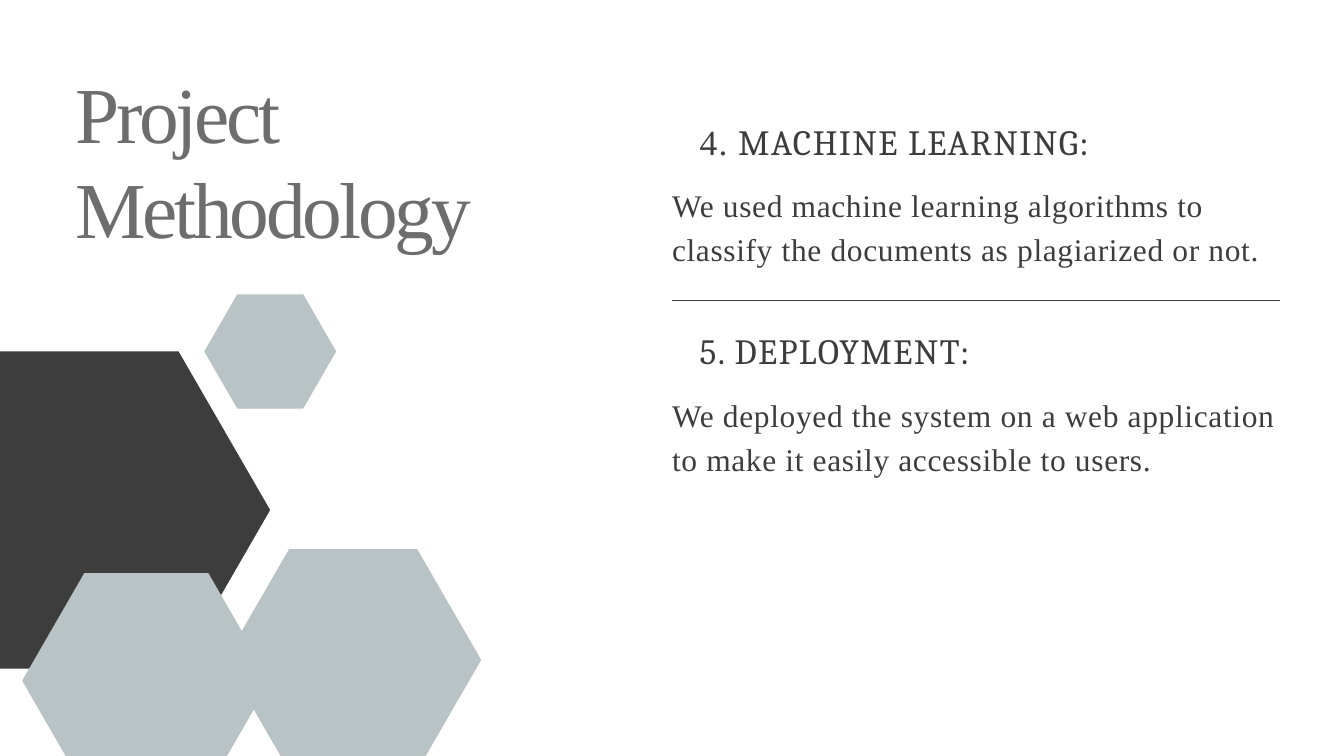
from math import sqrt

from lxml.etree import SubElement
from pptx import Presentation
from pptx.dml.color import RGBColor
from pptx.enum.shapes import MSO_CONNECTOR, MSO_SHAPE
from pptx.enum.text import MSO_ANCHOR
from pptx.oxml.ns import qn
from pptx.util import Inches, Pt

DARK, PALE, GREY = "3D3D3D", "B9C2C4", "6D6D6D"
SERIF, HEADING = "Times New Roman", "Cambria"


def color(hex_string):
    return RGBColor.from_string(hex_string)


class MethodologySlide:
    def __init__(self, deck):
        self.slide = deck.slides.add_slide(deck.slide_layouts[6])

    def text(self, left, top, width, height, runs, size, leading, spacing,
             ink=DARK, indent=0):
        """Place one paragraph made of (wording, font) runs."""
        box = self.slide.shapes.add_textbox(
            Inches(left), Inches(top), Inches(width), Inches(height))
        frame = box.text_frame
        frame.word_wrap = True
        frame.vertical_anchor = MSO_ANCHOR.TOP
        frame.margin_left = frame.margin_right = 0
        frame.margin_top = frame.margin_bottom = 0
        paragraph = frame.paragraphs[0]
        paragraph.line_spacing = Pt(leading)
        if indent:
            properties = paragraph._p.get_or_add_pPr()
            properties.set("marL", str(Inches(indent)))
            properties.set("indent", "0")
        for wording, font in runs:
            run = paragraph.add_run()
            run.text = wording
            run.font.name = font
            run.font.size = Pt(size)
            run.font.color.rgb = color(ink)
            run._r.get_or_add_rPr().set("spc", str(round(spacing * 100)))

    def heading(self, top, width, runs):
        self.text(10, top, width, 0.69, runs, 38, 45.6, 1.5, indent=0.41)

    def body(self, top, width, height, wording):
        self.text(10, top, width, height, [(wording, SERIF)], 33.7, 47.2, 0.7)

    def hexagon(self, left, top, height, fill):
        """Draw a regular hexagon with flat top and bottom."""
        shape = self.slide.shapes.add_shape(
            MSO_SHAPE.HEXAGON, Inches(left), Inches(top),
            Inches(height * 2 / sqrt(3)), Inches(height))
        shape.adjustments[0] = 1 / sqrt(12)
        shape.shadow.inherit = False
        shape.fill.solid()
        shape.fill.fore_color.rgb = color(fill)
        shape.line.fill.background()

    def divider(self, left, right, y):
        line = self.slide.shapes.add_connector(
            MSO_CONNECTOR.STRAIGHT, Inches(left), Inches(y), Inches(right), Inches(y))
        line.line.color.rgb = color(DARK)
        line.line.width = Pt(0.75)
        SubElement(line._element.spPr, qn("a:effectLst"))


def main():
    deck = Presentation()
    deck.slide_width, deck.slide_height = Inches(20), Inches(11.25)
    page = MethodologySlide(deck)

    # Title
    page.text(1.12, 0.95, 6.74, 2.99, [("Project Methodology", SERIF)],
              85, 102, -3.4, ink=GREY)

    # Hexagon cluster, back to front
    for left, top, height, fill in [
        (-1.43, 5.23, 4.72, DARK),
        (3.35, 8.17, 3.3, PALE),
        (3.04, 4.38, 1.7, PALE),
        (0.33, 8.53, 3.2, PALE),
    ]:
        page.hexagon(left, top, height, fill)

    # Step 4
    page.heading(1.78, 9.52, [("4.", SERIF), (" MACHINE LEARNING:", HEADING)])
    page.body(2.68, 9.52, 1.31, "We used machine learning algorithms to classify "
                                "the documents as plagiarized or not.")

    # Step 5
    page.heading(4.89, 9.05, [("5. DEPLOYMENT:", HEADING)])
    page.body(5.8, 9.05, 1.95, "We deployed the system on a web application "
                               "to make it easily accessible to users.")

    # Line between the steps
    page.divider(10, 19.05, 4.47)

    deck.save("out.pptx")


if __name__ == "__main__":
    main()
